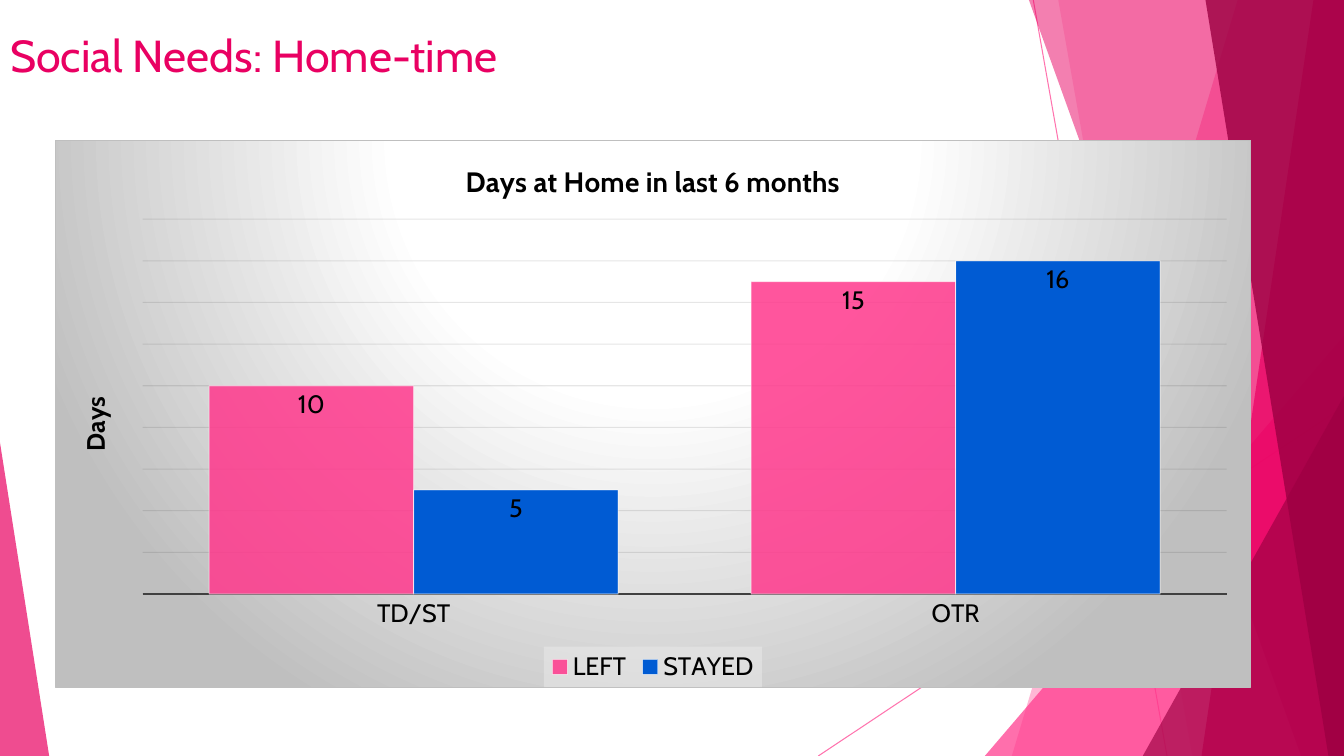
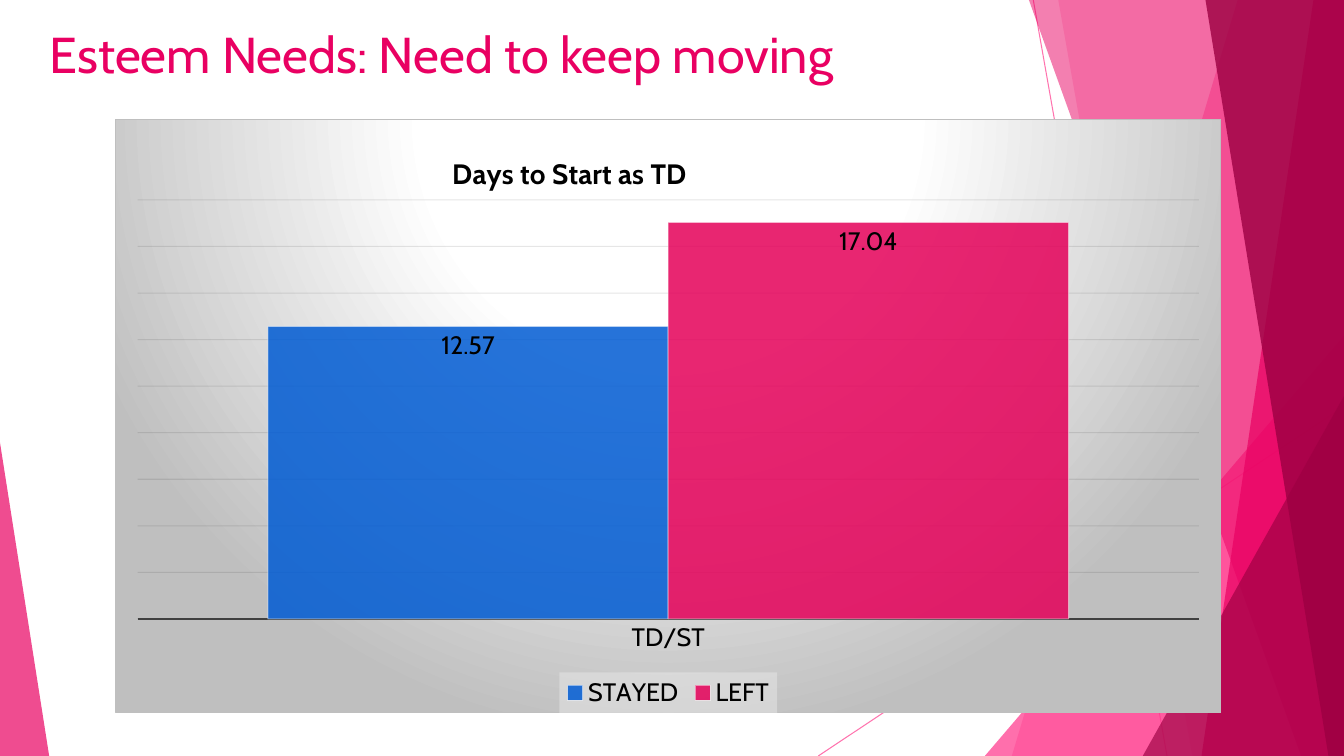
from lxml.etree import SubElement
from pptx import Presentation
from pptx.chart.data import CategoryChartData
from pptx.dml.color import RGBColor
from pptx.enum.chart import XL_CHART_TYPE as CHART, XL_LABEL_POSITION as LABEL
from pptx.enum.chart import XL_LEGEND_POSITION as LEGEND, XL_TICK_MARK as TICK
from pptx.enum.shapes import MSO_CONNECTOR as CONNECTOR, MSO_SHAPE as SHAPE
from pptx.enum.text import MSO_ANCHOR as ANCHOR, PP_ALIGN as ALIGN
from pptx.oxml import parse_xml
from pptx.oxml.ns import nsdecls, qn
from pptx.util import Cm, Pt

WIDTH, HEIGHT = 33.87, 19.05
FONT = "Cabin"
COLORS = {
    "pink": "FF388C", "rose": "E90062", "wine": "9C0042", "blue": "005BD3",
    "crimson": "E40059", "black": "000000", "white": "FFFFFF", "silver": "BFBFBF",
    "axis": "404040", "grid": "0D0D0D", "legend": "F2F2F2",
}
RAYS = [(26.04, 0, 29.41, HEIGHT), (WIDTH, 10.24, 20.62, HEIGHT)]
FACETS = [
    ("band", (31.19, 25.5), "pink", 36),
    ("band", (26.67, 30.05), "pink", 20),
    ("triangle", (24.82, 8.46, 9.05, 1), "pink", 72),
    ("band", (25.93, 32.79), "rose", 50),
    ("band", (33.1, 30.28), "rose", 70),
    ("band", (30.38, 33.48), "wine", 80),
    ("triangle", (28.8, 9.98, 5.07, 1), "wine", 66),
    ("triangle", (0, 11.15, 1.24, 0), "rose", 70),
]


def rgb(name):
    """Return the named palette colour."""
    return RGBColor.from_string(COLORS[name])


def set_alpha(root, query, percent):
    """Set the opacity of every colour that the query finds."""
    for clr in root.xpath(query):
        SubElement(clr, qn("a:alpha"), val=str(percent * 1000))


def set_line(line, color, width=0.75):
    """Give a line its colour and its width in points."""
    line.color.rgb = rgb(color)
    line.width = Pt(width)


def set_font(font, size, color="black", bold=False):
    """Give a font its face, size, colour and weight."""
    font.name, font.size, font.bold = FONT, Pt(size), bold
    font.color.rgb = rgb(color)


def put_text(tf, text, align=None, **fmt):
    """Write one formatted paragraph into a text frame."""
    p = tf.paragraphs[0]
    p.alignment = align
    r = p.add_run()
    r.text = text
    set_font(r.font, **fmt)


def add_ray(shapes, x1, y1, x2, y2):
    """Draw one thin translucent line."""
    ray = shapes.add_connector(CONNECTOR.STRAIGHT, Cm(x1), Cm(y1), Cm(x2), Cm(y2))
    set_line(ray.line, "pink")
    set_alpha(ray.element, ".//a:ln//a:srgbClr", 70)
    SubElement(ray.element.spPr, qn("a:effectLst"))
    return ray


def add_band(shapes, top_x, bottom_x):
    """Draw a slanted band that reaches the right edge of the slide."""
    builder = shapes.build_freeform(Cm(top_x), 0)
    corners = [(WIDTH, 0), (WIDTH, HEIGHT), (bottom_x, HEIGHT)]
    builder.add_line_segments([(Cm(x), Cm(y)) for x, y in corners])
    return builder.convert_to_shape()


def add_triangle(shapes, left, top, width, apex):
    """Draw a triangle that stands on the bottom edge of the slide."""
    sp = shapes.add_shape(SHAPE.ISOSCELES_TRIANGLE, Cm(left), Cm(top),
                          Cm(width), Cm(HEIGHT - top))
    sp.adjustments[0] = apex
    return sp


def add_facet(shapes, kind, geometry, color, opacity):
    """Draw one translucent facet of the backdrop."""
    draw = {"band": add_band, "triangle": add_triangle}[kind]
    sp = draw(shapes, *geometry)
    sp.shadow.inherit = False
    sp.fill.solid()
    sp.fill.fore_color.rgb = rgb(color)
    sp.line.fill.background()
    set_alpha(sp.element, "./p:spPr/a:solidFill/a:srgbClr", opacity)
    return sp


def move_backdrop(s, layout):
    """Draw the backdrop on a slide and hand it to the layout."""
    parts = [add_ray(s.shapes, *ray) for ray in RAYS]
    parts += [add_facet(s.shapes, *facet) for facet in FACETS]
    for place, part in enumerate(parts, 2):
        layout.shapes.element.insert(place, part.element)


def add_title(s, text, box, size):
    """Place and write the slide title."""
    title = s.shapes.title
    title.left, title.top, title.width, title.height = map(Cm, box)
    title.text_frame.vertical_anchor = ANCHOR.TOP
    put_text(title.text_frame, text, ALIGN.LEFT, size=size, color="rose")


def fill_chart(chart):
    """Give the chart its radial background and the legend its tint."""
    stops = "".join(
        f'<a:gs pos="{pos * 1000}"><a:srgbClr val="{COLORS[name]}"/></a:gs>'
        for pos, name in [(0, "white"), (39, "white"), (100, "silver")])
    back = parse_xml(
        f'<c:spPr {nsdecls("c", "a")}><a:gradFill><a:gsLst>{stops}</a:gsLst>'
        '<a:path path="circle"><a:fillToRect l="50000" t="-80000" r="50000" '
        'b="180000"/></a:path></a:gradFill><a:ln w="9525"><a:solidFill>'
        f'<a:srgbClr val="{COLORS["silver"]}"/></a:solidFill></a:ln></c:spPr>')
    chart.element.xpath("./c:txPr")[0].addprevious(back)
    tint = parse_xml(
        f'<c:spPr {nsdecls("c", "a")}><a:solidFill><a:srgbClr val="{COLORS["legend"]}">'
        '<a:alpha val="39000"/></a:srgbClr></a:solidFill></c:spPr>')
    chart.element.xpath(".//c:legend/c:overlay")[0].addnext(tint)


def place_chart_title(chart, x, y):
    """Move the chart title to a fraction of the chart area."""
    layout = chart.element.xpath("./c:chart/c:title/c:layout")[0]
    manual = SubElement(layout, qn("c:manualLayout"))
    for tag, val in [("xMode", "edge"), ("yMode", "edge"), ("x", x), ("y", y)]:
        SubElement(manual, qn(f"c:{tag}"), val=str(val))


def format_axes(chart, value_title):
    """Format the category axis, the hidden value axis and its grid."""
    cat, val = chart.category_axis, chart.value_axis
    cat.major_tick_mark = cat.minor_tick_mark = TICK.NONE
    set_line(cat.format.line, "axis", 1.5)
    val.visible = False
    val.minimum_scale, val.maximum_scale, val.major_unit = 0, 18, 2
    set_line(val.major_gridlines.format.line, "grid")
    set_alpha(chart.element, ".//c:majorGridlines//a:srgbClr", 10)
    if value_title:
        put_text(val.axis_title.text_frame, value_title, size=18, bold=True)


def format_series(chart, series):
    """Format the columns and their value labels."""
    plot = chart.plots[0]
    plot.gap_width, plot.overlap, plot.vary_by_categories = 65, 0, False
    for n, (ser, (_, _, color, opacity)) in enumerate(zip(plot.series, series), 1):
        ser.format.fill.solid()
        ser.format.fill.fore_color.rgb = rgb(color)
        set_line(ser.format.line, "white")
        props = f".//c:ser[{n}]/c:spPr"
        set_alpha(chart.element, f"{props}/a:solidFill/a:srgbClr", opacity)
        set_alpha(chart.element, f"{props}/a:ln//a:srgbClr", 50)
        labels = ser.data_labels
        labels.show_value, labels.position = True, LABEL.INSIDE_END
        set_font(labels.font, 18)


def add_columns(s, box, title, cats, series, value_title=None, title_at=None):
    """Add a clustered column chart with its title and legend."""
    data = CategoryChartData()
    data.categories = cats
    for name, values, _, _ in series:
        data.add_series(name, values)
    chart = s.shapes.add_chart(CHART.COLUMN_CLUSTERED, *map(Cm, box), data).chart
    set_font(chart.font, 18)
    chart.has_title = chart.has_legend = True
    put_text(chart.chart_title.text_frame, title, size=20, bold=True)
    if title_at:
        place_chart_title(chart, *title_at)
    chart.legend.position = LEGEND.BOTTOM
    chart.legend.include_in_layout = False
    format_axes(chart, value_title)
    format_series(chart, series)
    fill_chart(chart)


def main():
    """Build the two slides and save them."""
    prs = Presentation()
    prs.slide_width, prs.slide_height = Cm(WIDTH), Cm(HEIGHT)
    layout = prs.slide_layouts[5]

    s = prs.slides.add_slide(layout)
    move_backdrop(s, layout)
    add_title(s, "Social Needs: Home-time", (0, 0.56, 23.88, 1.88), 32)
    add_columns(s, (1.38, 3.53, 30.15, 13.8), "Days at Home in last 6 months",
                ["TD/ST", "OTR"],
                [("LEFT", [10, 15], "pink", 85), ("STAYED", [5, 16], "blue", 100)],
                value_title="Days")

    s = prs.slides.add_slide(layout)
    add_title(s, "Esteem Needs: Need to keep moving", (1, 0.46, 23.88, 3.66), 36)
    add_columns(s, (2.9, 3, 27.88, 14.98), "Days to Start as TD", ["TD/ST"],
                [("STAYED", [12.57], "blue", 85), ("LEFT", [17.04], "crimson", 85)],
                title_at=(0.3, 0.05))

    prs.save("out.pptx")


if __name__ == "__main__":
    main()
